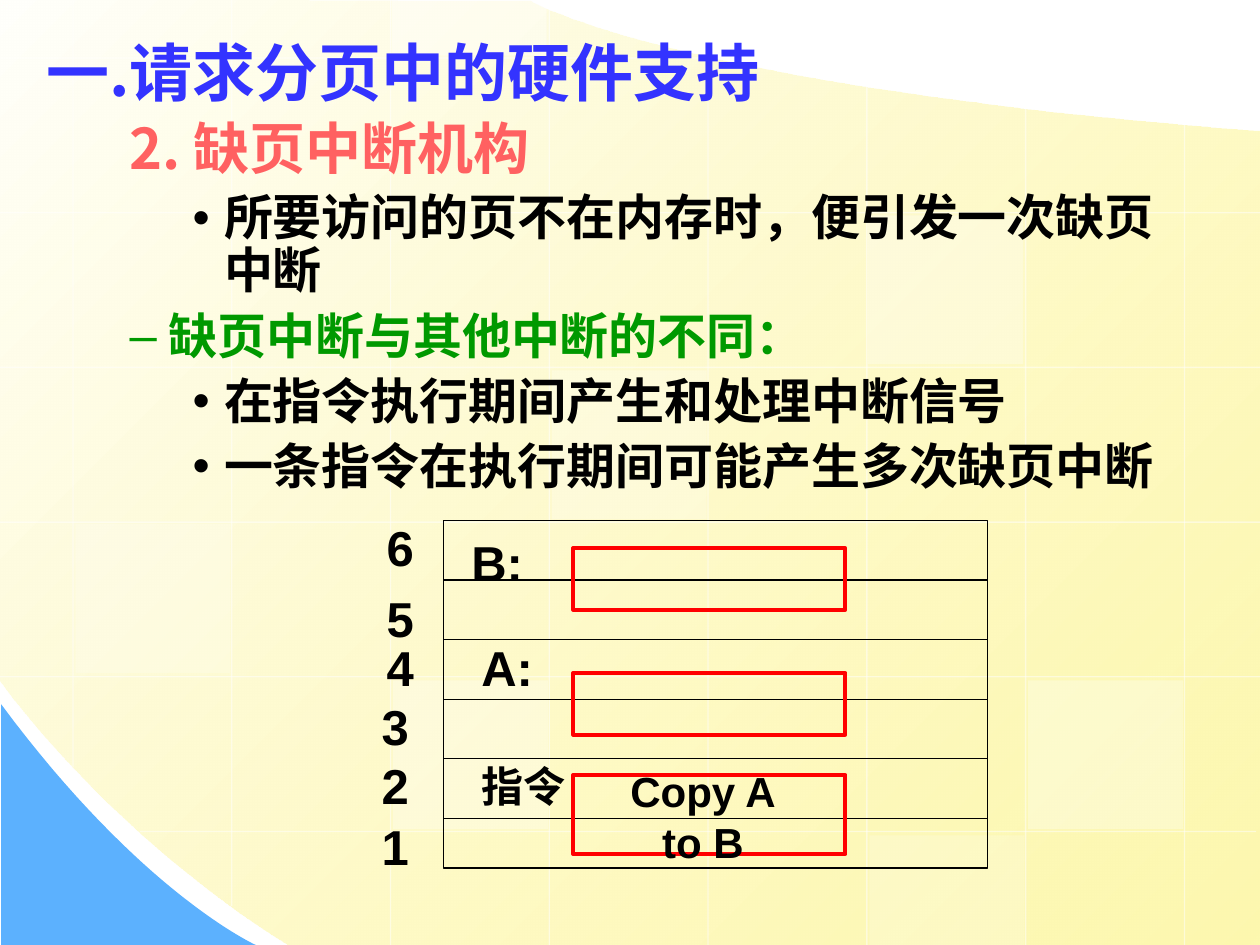
from lxml.etree import SubElement
from pptx import Presentation
from pptx.dml.color import RGBColor
from pptx.enum.shapes import MSO_CONNECTOR as Connector, MSO_SHAPE as Shape
from pptx.enum.text import MSO_ANCHOR as Anchor, PP_ALIGN as Align
from pptx.oxml.ns import qn
from pptx.util import Inches, Pt

CJK_FONT = "Noto Sans CJK SC"
BLACK, WHITE, RED, GREEN = "000000", "FFFFFF", "FF0000", "009900"


def color(value):
    return RGBColor.from_string(value)


def set_alpha(element, percent):
    for tint in element.iter(qn("a:srgbClr")):
        SubElement(tint, qn("a:alpha"), val=str(percent * 1000))


def add_line(page, start, end, tint, alpha=100):
    line = page.shapes.add_connector(Connector.STRAIGHT, *map(Inches, start + end))
    line.line.color.rgb = color(tint)
    line.line.width = Pt(0.75)
    properties = line._element.spPr
    if alpha < 100:
        set_alpha(properties, alpha)
    SubElement(properties, qn("a:effectLst"))


def add_rectangle(page, box, fill=None, alpha=100, outline=None, width=0.75):
    shape = page.shapes.add_shape(Shape.RECTANGLE, *map(Inches, box))
    shape.shadow.inherit = False
    if fill:
        shape.fill.solid()
        shape.fill.fore_color.rgb = color(fill)
        set_alpha(shape._element.spPr, alpha)
    else:
        shape.fill.background()
    if outline:
        shape.line.color.rgb = color(outline)
        shape.line.width = Pt(width)
    else:
        shape.line.fill.background()


def bezier(start, first, second, end, steps=32):
    """Return points along a cubic curve, without its start."""
    points = []
    for step in range(1, steps + 1):
        t = step / steps
        weights = ((1 - t) ** 3, 3 * t * (1 - t) ** 2, 3 * t * t * (1 - t), t ** 3)
        points.append(tuple(
            sum(w * value for w, value in zip(weights, axis))
            for axis in zip(start, first, second, end)))
    return points


def add_outline(page, points):
    inches = [(Inches(x), Inches(y)) for x, y in points]
    builder = page.shapes.build_freeform(*inches[0])
    builder.add_line_segments(inches[1:], close=True)
    shape = builder.convert_to_shape()
    shape.shadow.inherit = False
    shape.line.fill.background()
    return shape


def style_runs(para, size, tint, font=CJK_FONT):
    for span in para.runs:
        span.font.size = Pt(size)
        span.font.bold = True
        span.font.name = font
        span.font.color.rgb = color(tint)
        SubElement(span._r.get_or_add_rPr(), qn("a:ea"), typeface=CJK_FONT)


def add_text_box(page, box, wrap=True):
    frame = page.shapes.add_textbox(*map(Inches, box)).text_frame
    frame.word_wrap = wrap
    return frame


def add_label(page, box, text, size=28, wrap=False):
    frame = add_text_box(page, box, wrap)
    frame.text = text
    for para in frame.paragraphs:
        para.alignment = Align.CENTER
        style_runs(para, size, BLACK, "Arial")


def add_backdrop(page):
    field = [(10, 1.04), (10, 7.5), (2.3, 7.5)]
    field += bezier((2.3, 7.5), (0.86, 6.61), (-0.01, 5.39), (0, 5.39))
    field += [(-0.01, -0.01), (4.21, 0.01)]
    field += bezier((4.21, 0.01), (4.21, 0.01), (5.37, 0.69), (10, 1.04))
    fill = add_outline(page, field).fill
    fill.gradient()
    fill.gradient_angle = 315
    for stop, tint, alpha in zip(fill.gradient_stops, ("FFFFFB", "FDF58D"), (100, 70)):
        stop.color.rgb = color(tint)
        set_alpha(stop._gs, alpha)

    corner = [(0.01, 5.59), (0.01, 7.5), (2.03, 7.5)]
    corner += bezier((2.03, 7.5), (2.03, 7.5), (1.12, 7.09), (0.01, 5.59))
    fill = add_outline(page, corner).fill
    fill.solid()
    fill.fore_color.rgb = color("5CB1FE")

    column_spans = [(0, 6.09), (0, 7.19), (0, 7.5), (0, 7.5),
                    (0.43, 7.5), (0.68, 7.5), (0.85, 7.5), (0.98, 7.5)]
    for index, (top, bottom) in enumerate(column_spans):
        x = 0.58 + 1.26 * index
        add_line(page, (x, top), (x, bottom), WHITE, 50)
    row_spans = [(0, 5.68)] + [(0, 10)] * 4 + [(1.11, 9.97)]
    for index, (left, right) in enumerate(row_spans):
        y = 0.46 + 1.228 * index
        add_line(page, (left, y), (right, y), WHITE, 50)

    tiles = [(4.38, 2.94, 1.18, 25), (8.16, 5.4, 1.18, 30), (0.6, 4.16, 1.18, 20),
             (6.9, 6.63, 0.87, 20), (3.11, 0, 0.44, 40), (3.12, 5.4, 1.18, 30),
             (6.89, 1.71, 1.18, 30)]
    for left, top, height, alpha in tiles:
        add_rectangle(page, (left, top, 1.23, height), WHITE, alpha)


def add_title(page, box):
    frame = add_text_box(page, box)
    frame.vertical_anchor = Anchor.MIDDLE
    frame.text = "一.请求分页中的硬件支持"
    style_runs(frame.paragraphs[0], 36, "3333FF")


def add_body(page, box):
    points = [
        ("2. 缺页中断机构", 32, "FF6161", None),
        ("所要访问的页不在内存时，便引发一次缺页中断", 28, BLACK, "•"),
        ("缺页中断与其他中断的不同：", 28, GREEN, "–"),
        ("在指令执行期间产生和处理中断信号", 28, BLACK, "•"),
        ("一条指令在执行期间可能产生多次缺页中断", 28, BLACK, "•"),
    ]
    frame = add_text_box(page, box)
    frame.text = "\n".join(point[0] for point in points)
    for index, (para, point) in enumerate(zip(frame.paragraphs, points)):
        _, size, tint, bullet = point
        margin, indent = (1.25, -0.25) if bullet == "•" else (0.81, -0.31)
        properties = para._p.get_or_add_pPr()
        properties.set("marL", str(Inches(margin)))
        properties.set("indent", str(Inches(indent)))
        if bullet:
            bullet_color = SubElement(properties, qn("a:buClr"))
            SubElement(bullet_color, qn("a:srgbClr"), val=tint)
            SubElement(properties, qn("a:buFont"), typeface="Arial")
            SubElement(properties, qn("a:buChar"), char=bullet)
        para.line_spacing = 0.9
        if index:
            para.space_before = Pt(7)
        style_runs(para, size, tint, "Arial" if index else CJK_FONT)


def add_memory_diagram(page, box):
    """Draw six memory pages, with operands that cross page borders."""
    left, top, width, height = box
    add_rectangle(page, box, outline=BLACK)
    for row in range(1, 6):
        y = top + 0.473 * row
        add_line(page, (left, y), (left + width, y), BLACK)
    for offset, block_height in ((0.22, 0.49), (1.21, 0.49), (2.02, 0.63)):
        add_rectangle(page, (left + 1.03, top + offset, 2.16, block_height),
                      outline=RED, width=2.25)

    labels = [
        ("6", -0.55, -0.07, 0.41), ("5", -0.55, 0.49, 0.41),
        ("4", -0.55, 0.88, 0.41), ("3", -0.59, 1.35, 0.41),
        ("2", -0.59, 1.82, 0.41), ("1", -0.59, 2.3, 0.41),
        ("A:", 0.2, 0.88, 0.61), ("B:", 0.12, 0.05, 0.61),
    ]
    for text, x, y, label_width in labels:
        add_label(page, (left + x, top + y, label_width, 0.57), text)
    add_label(page, (left + 1.38, top + 1.9, 1.36, 0.9), "Copy A\nto B", 24)
    add_label(page, (left + 0.14, top + 1.86, 0.99, 0.5), "指令", 24, wrap=True)


def main():
    deck = Presentation()
    deck.slide_width, deck.slide_height = Inches(10), Inches(7.5)
    page = deck.slides.add_slide(deck.slide_layouts[6])
    add_backdrop(page)
    add_title(page, (0.27, 0.21, 9, 0.71))
    add_body(page, (0.43, 0.91, 9, 3.15))
    add_memory_diagram(page, (3.52, 4.13, 4.32, 2.76))
    deck.save("out.pptx")


if __name__ == "__main__":
    main()
